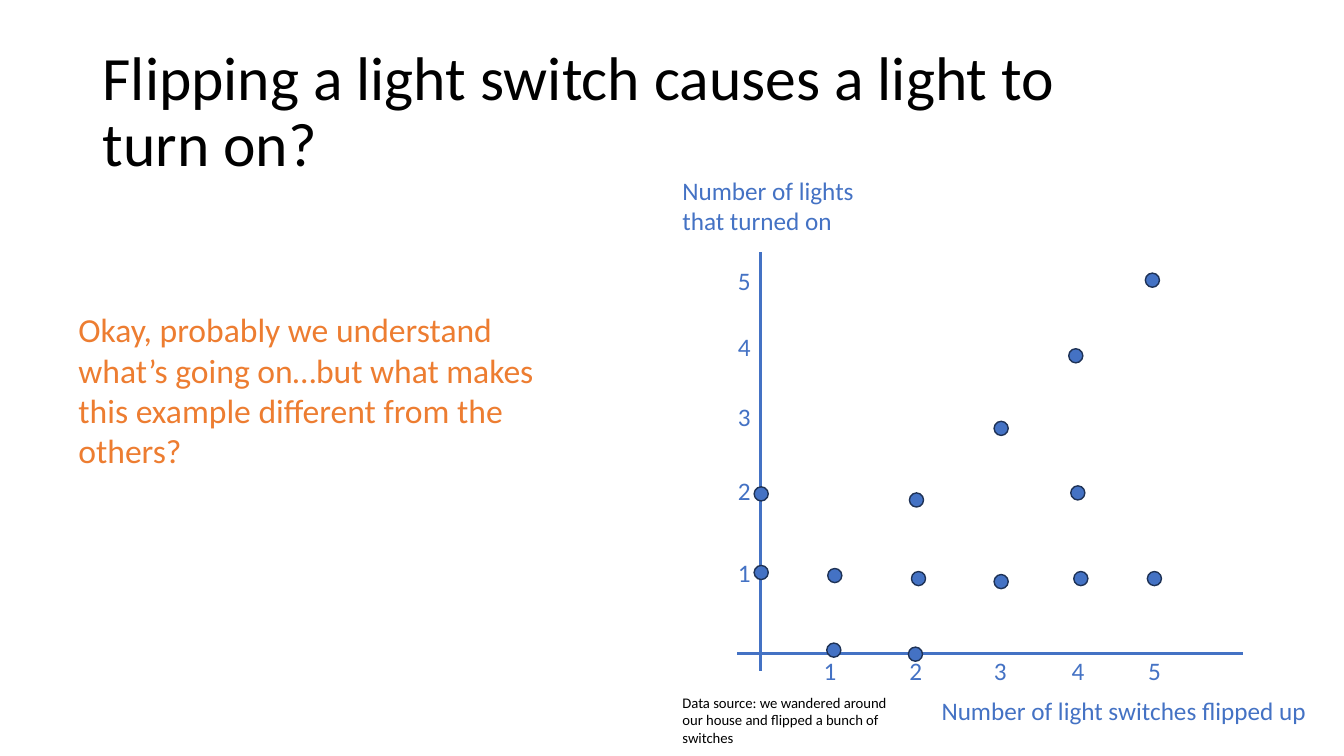
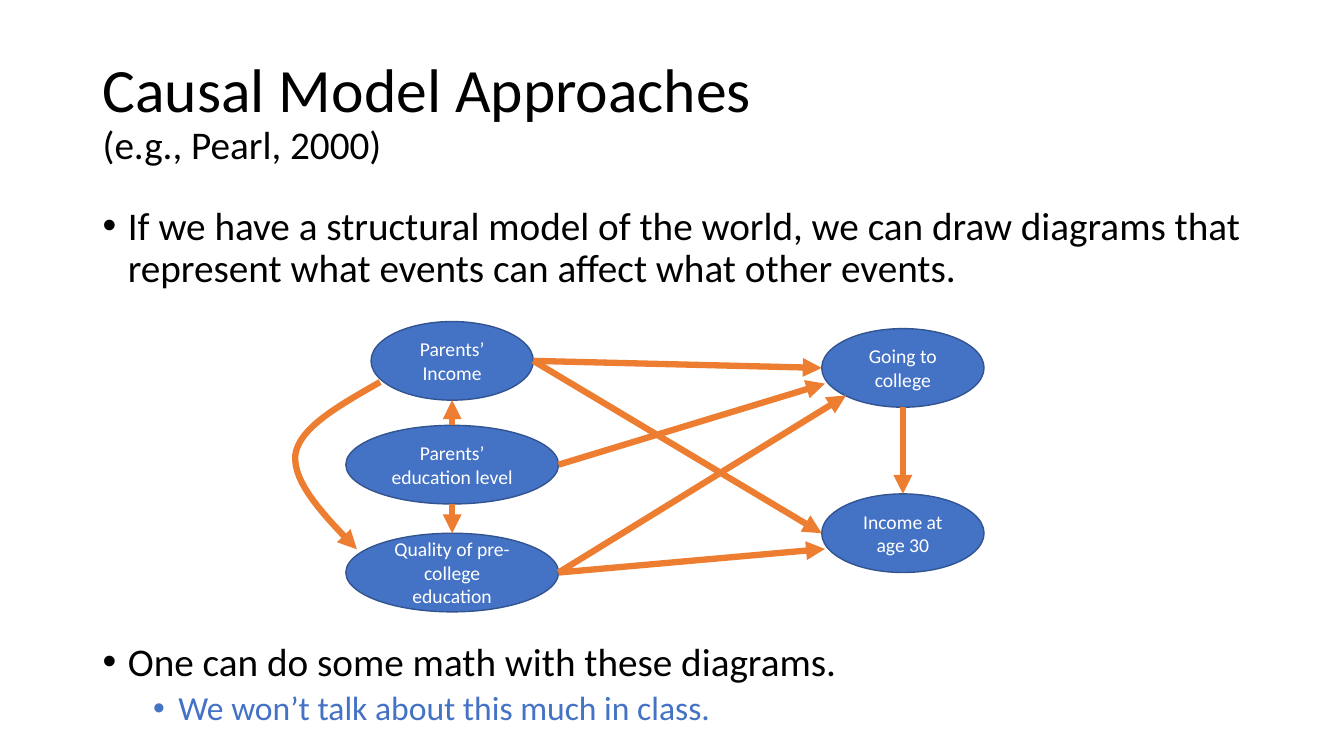
from dataclasses import dataclass

import pptx
import pptx.dml.color
import pptx.enum.shapes
import pptx.enum.text
import pptx.oxml
import pptx.oxml.ns
import pptx.util
from pptx.util import Inches

# Shared look
FONT = "Calibri"
BLACK, WHITE, BLUE, ORANGE = "000000", "FFFFFF", "4472C4", "ED7D31"
DOT_EDGE, NODE_EDGE = "1E3256", "325491"
ARROW_WIDTH = 4.5

Point = tuple[float, float]

# Places on a node, as fractions of its width and height
TOP, BOTTOM, LEFT, RIGHT = (0.5, 0), (0.5, 1), (0, 0.5), (1, 0.5)
LOWER_LEFT, BOTTOM_LEFT = (0.02, 0.7), (0.15, 0.85)


@dataclass(frozen=True)
class Box:
    left: float
    top: float
    width: float
    height: float

    def lengths(self):
        return [Inches(v) for v in (self.left, self.top, self.width, self.height)]

    def site(self, place: Point) -> Point:
        return self.left + place[0] * self.width, self.top + place[1] * self.height


@dataclass(frozen=True)
class Node:
    text: str
    box: Box


@dataclass(frozen=True)
class Arrow:
    source: str
    start: Point
    target: str
    end: Point


@dataclass(frozen=True)
class Bullet:
    text: str
    size: float
    color: str
    indent: float
    space_before: float


def color(hex_string: str):
    return pptx.dml.color.RGBColor.from_string(hex_string)


def style_font(item, size: float, hex_string: str) -> None:
    item.font.name = FONT
    item.font.size = pptx.util.Pt(size)
    item.font.color.rgb = color(hex_string)


def style_line(shape, hex_string: str, width: float, arrow: bool = False) -> None:
    shape.line.color.rgb = color(hex_string)
    shape.line.width = pptx.util.Pt(width)
    if arrow:
        tail = pptx.oxml.parse_xml(
            f'<a:tailEnd {pptx.oxml.ns.nsdecls("a")} type="triangle"/>')
        shape.line._get_or_add_ln().append(tail)


def add_text(slide, box: Box, text: str, size: float, hex_string: str):
    shape = slide.shapes.add_textbox(*box.lengths())
    shape.text_frame.word_wrap = True
    shape.text_frame.text = text
    for run in shape.text_frame.paragraphs[0].runs:
        style_font(run, size, hex_string)
    return shape


def add_title(slide, text: str, width: float):
    shape = add_text(slide, Box(0.92, 0.4, width, 1.45), text, 44, BLACK)
    shape.text_frame.vertical_anchor = pptx.enum.text.MSO_ANCHOR.MIDDLE
    shape.text_frame.paragraphs[0].line_spacing = 0.9
    return shape


def add_line(slide, start: Point, end: Point, hex_string: str, width: float,
             arrow: bool = False) -> None:
    connector = slide.shapes.add_connector(
        pptx.enum.shapes.MSO_CONNECTOR.STRAIGHT,
        *[Inches(v) for v in (*start, *end)])
    style_line(connector, hex_string, width, arrow)
    connector._element.spPr.append(
        pptx.oxml.parse_xml(f'<a:effectLst {pptx.oxml.ns.nsdecls("a")}/>'))


def add_ellipse(slide, box: Box, edge: str):
    shape = slide.shapes.add_shape(pptx.enum.shapes.MSO_SHAPE.OVAL, *box.lengths())
    shape.shadow.inherit = False
    shape.fill.solid()
    shape.fill.fore_color.rgb = color(BLUE)
    style_line(shape, edge, 1)
    return shape


def add_node(slide, node: Node) -> None:
    shape = add_ellipse(slide, node.box, NODE_EDGE)
    frame = shape.text_frame
    frame.word_wrap = True
    frame.vertical_anchor = pptx.enum.text.MSO_ANCHOR.MIDDLE
    frame.text = node.text
    paragraph = frame.paragraphs[0]
    paragraph.alignment = pptx.enum.text.PP_ALIGN.CENTER
    style_font(paragraph.runs[0], 14, WHITE)


def curve_point(controls: list[Point], t: float) -> Point:
    """Point at t on the Bezier curve given by its control points."""
    while len(controls) > 1:
        controls = [(a[0] + (b[0] - a[0]) * t, a[1] + (b[1] - a[1]) * t)
                    for a, b in zip(controls, controls[1:])]
    return controls[0]


def add_curved_arrow(slide, curves: list[list[Point]], steps: int = 16) -> None:
    # The builder rounds to whole units, so the points are given in EMU
    points = [curves[0][0]]
    points += [curve_point(curve, step / steps)
               for curve in curves for step in range(1, steps + 1)]
    start, *rest = [(Inches(x), Inches(y)) for x, y in points]
    builder = slide.shapes.build_freeform(*start)
    builder.add_line_segments(rest, close=False)
    shape = builder.convert_to_shape()
    shape.shadow.inherit = False
    shape.fill.background()
    style_line(shape, ORANGE, ARROW_WIDTH, arrow=True)


def add_bullets(slide, box: Box, bullets: list[Bullet]) -> None:
    frame = slide.shapes.add_textbox(*box.lengths()).text_frame
    frame.word_wrap = True
    for index, bullet in enumerate(bullets):
        paragraph = frame.add_paragraph() if index else frame.paragraphs[0]
        paragraph.text = bullet.text
        paragraph.line_spacing = 0.9
        paragraph.space_before = pptx.util.Pt(bullet.space_before)
        properties = paragraph._p.get_or_add_pPr()
        properties.set("marL", str(Inches(bullet.indent)))
        properties.set("indent", str(Inches(-0.25)))
        for mark in ('buFont %s typeface="Arial"', 'buChar %s char="•"'):
            namespace = pptx.oxml.ns.nsdecls("a")
            properties.append(pptx.oxml.parse_xml(f"<a:{mark % namespace}/>"))
        style_font(paragraph.runs[0], bullet.size, bullet.color)


# Light switch scatter
X_LABEL_LEFTS = [8.07, 8.92, 9.76, 10.53, 11.29]
Y_LABEL_TOPS = [5.48, 4.67, 3.93, 3.24, 2.58]
DOT_SIZE = 0.14
DOTS = [
    (8.21, 5.64), (9.02, 4.89), (9.86, 4.18), (10.6, 3.46), (11.36, 2.71),
    (8.2, 6.38), (9.01, 6.42), (9.86, 5.7), (10.62, 4.82), (10.65, 5.67),
    (11.38, 5.67), (9.04, 5.67), (7.48, 5.61), (7.48, 4.83),
]


def build_switch_slide(slide) -> None:
    add_title(slide, "Flipping a light switch causes a light to turn on?", 10.13)
    add_text(slide, Box(0.68, 3.02, 4.77, 1.72),
             "Okay, probably we understand what’s going on…but what makes "
             "this example different from the others?", 24, ORANGE)

    # Axes and their labels
    add_line(slide, (7.54, 2.5), (7.54, 6.66), BLUE, 2.25)
    add_line(slide, (7.31, 6.48), (12.33, 6.48), BLUE, 2.25)
    labels = [
        (Box(9.24, 6.85, 3.93, 0.4), "Number of light switches flipped up"),
        (Box(6.67, 1.69, 1.94, 0.71), "Number of lights that turned on"),
    ]
    for value, (left, top) in enumerate(zip(X_LABEL_LEFTS, Y_LABEL_TOPS), start=1):
        labels.append((Box(left, 6.45, 0.64, 0.4), str(value)))
        labels.append((Box(7.22, top, 0.64, 0.4), str(value)))
    for box, text in labels:
        add_text(slide, box, text, 18, BLUE)
    add_text(slide, Box(6.67, 6.83, 2.28, 0.63),
             "Data source: we wandered around our house and flipped a bunch "
             "of switches", 10.5, BLACK)

    # Observations
    for left, top in DOTS:
        add_ellipse(slide, Box(left, top, DOT_SIZE, DOT_SIZE), DOT_EDGE)


# Causal diagram
NODES = {
    "college": Node("Going to college", Box(8.15, 3.26, 1.61, 0.78)),
    "income": Node("Income at age 30", Box(8.15, 4.9, 1.61, 0.78)),
    "parent income": Node("Parents’ Income", Box(3.68, 3.19, 1.61, 0.78)),
    "parent education": Node("Parents’ education level", Box(3.43, 4.22, 2.11, 0.78)),
    "school": Node("Quality of pre-college education", Box(3.43, 5.29, 2.11, 0.78)),
}
ARROWS = [
    Arrow("college", BOTTOM, "income", TOP),
    Arrow("parent income", RIGHT, "college", LEFT),
    Arrow("parent income", RIGHT, "income", LEFT),
    Arrow("parent education", RIGHT, "college", LOWER_LEFT),
    Arrow("parent education", TOP, "parent income", BOTTOM),
    Arrow("parent education", BOTTOM, "school", TOP),
    Arrow("school", RIGHT, "college", BOTTOM_LEFT),
    Arrow("school", RIGHT, "income", LOWER_LEFT),
]
INCOME_TO_SCHOOL = [
    [(3.77, 3.79), (3.37, 4.02), (2.97, 4.24), (2.93, 4.51)],
    [(2.93, 4.51), (2.9, 4.79), (3.22, 5.12), (3.54, 5.45)],
]
DIAGRAM_GAP = 251
BULLETS = [
    Bullet("If we have a structural model of the world, we can draw diagrams "
           "that represent what events can affect what other events.",
           28, BLACK, 0.25, 0),
    Bullet("One can do some math with these diagrams.", 28, BLACK, 0.25, DIAGRAM_GAP),
    Bullet("We won’t talk about this much in class.", 24, BLUE, 0.75, 5),
]


def build_causal_slide(slide) -> None:
    title = add_title(slide, "Causal Model Approaches\v(e.g., Pearl, 2000)", 11.5)
    title.text_frame.paragraphs[0].runs[1].font.size = pptx.util.Pt(28)
    add_bullets(slide, Box(0.92, 2, 11.5, 5.5), BULLETS)

    for node in NODES.values():
        add_node(slide, node)
    for arrow in ARROWS:
        add_line(slide, NODES[arrow.source].box.site(arrow.start),
                 NODES[arrow.target].box.site(arrow.end),
                 ORANGE, ARROW_WIDTH, arrow=True)
    add_curved_arrow(slide, INCOME_TO_SCHOOL)


def main() -> None:
    presentation = pptx.Presentation()
    presentation.slide_width = Inches(13.33)
    presentation.slide_height = Inches(7.5)
    for build in (build_switch_slide, build_causal_slide):
        build(presentation.slides.add_slide(presentation.slide_layouts[6]))
    presentation.save("out.pptx")


if __name__ == "__main__":
    main()
